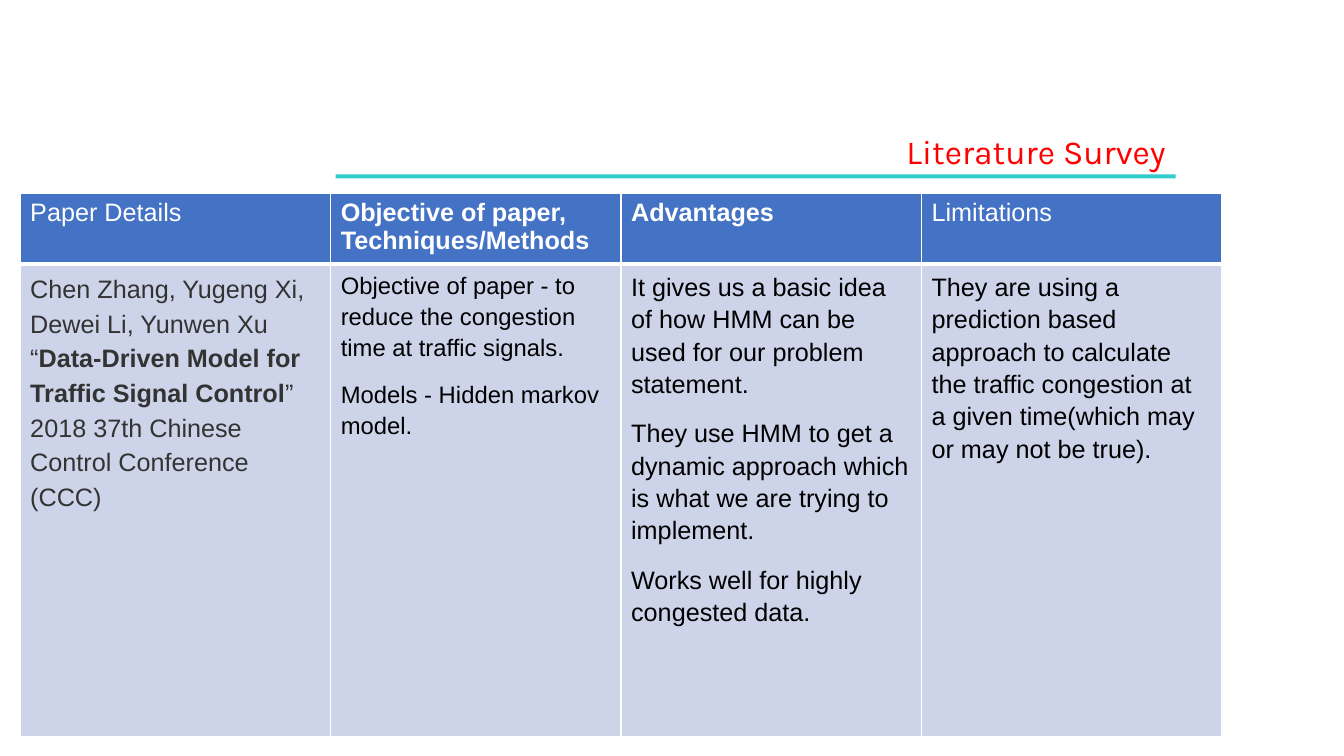
from lxml.etree import SubElement
from pptx import Presentation
from pptx.dml.color import RGBColor
from pptx.enum.shapes import MSO_SHAPE
from pptx.enum.text import MSO_AUTO_SIZE, PP_ALIGN
from pptx.oxml.ns import qn
from pptx.util import Inches, Pt

COLORS = {
    "title": "FF0000",
    "rule": "33CCCC",
    "header": "4472C4",
    "body": "CDD4EA",
    "white": "FFFFFF",
    "citation": "333333",
    "black": "000000",
}
COLUMN_WIDTHS = [3.08, 2.88, 2.98, 2.98]
ROW_HEIGHTS = [0.69, 4.69]
HEADINGS = [
    ("Paper Details", False),
    ("Objective of paper, Techniques/Methods", True),
    ("Advantages", True),
    ("Limitations", False),
]
CITATION = [
    [("Chen Zhang, Yugeng Xi, Dewei Li, Yunwen Xu", False)],
    [("“", False), ("Data-Driven Model for Traffic Signal Control", True), ("”", False)],
    [("2018 37th Chinese Control Conference (CCC)", False)],
]
OBJECTIVE = [
    "Objective of paper - to reduce the congestion time at traffic signals.",
    "Models - Hidden markov model.",
]
ADVANTAGES = [
    "It gives us a basic idea of how HMM can be used for our problem statement.",
    "They use HMM to get a dynamic approach which is what we are trying to implement.",
    "Works well for highly congested data.",
]
LIMITATIONS = [
    "They are using a prediction based approach to calculate the traffic congestion "
    "at a given time(which may or may not be true).",
]


class SurveySlide:
    def __init__(self, slide):
        self.slide = slide

    def color(self, name):
        return RGBColor.from_string(COLORS[name])

    def style(self, paragraph, size, color, font="Arial"):
        paragraph.font.name = font
        paragraph.font.size = Pt(size)
        paragraph.font.color.rgb = self.color(color)

    def bar(self, left, top, width, height, color):
        bar = self.slide.shapes.add_shape(
            MSO_SHAPE.RECTANGLE, Inches(left), Inches(top), Inches(width), Inches(height))
        bar.shadow.inherit = False
        bar.fill.solid()
        bar.fill.fore_color.rgb = self.color(color)
        bar.line.fill.background()

    def title(self, text, left, top, width, height):
        frame = self.slide.shapes.add_textbox(
            Inches(left), Inches(top), Inches(width), Inches(height)).text_frame
        frame.word_wrap = True
        frame.auto_size = MSO_AUTO_SIZE.SHAPE_TO_FIT_TEXT
        heading = frame.paragraphs[0]
        heading.text = text
        heading.alignment = PP_ALIGN.RIGHT
        self.style(heading, 24, "title", "Karla")

    def table(self, left, top, widths, heights):
        table = self.slide.shapes.add_table(
            len(heights), len(widths), Inches(left), Inches(top),
            Inches(sum(widths)), Inches(sum(heights))).table
        table.first_row = False
        table.horz_banding = False
        for column, width in zip(table.columns, widths):
            column.width = Inches(width)
        for row, height in zip(table.rows, heights):
            row.height = Inches(height)
        return table

    def borders(self, cell, **widths):
        properties = cell._tc.get_or_add_tcPr()
        for side in "LRTB":
            line = SubElement(properties, qn(f"a:ln{side}"), w=str(Pt(widths.get(side, 1))))
            fill = SubElement(line, qn("a:solidFill"))
            SubElement(fill, qn("a:srgbClr"), val=COLORS["white"])

    def cell(self, cell, paragraphs, fill, color, size=18, spacing=None, gap=0, **borders):
        self.borders(cell, **borders)
        cell.fill.solid()
        cell.fill.fore_color.rgb = self.color(fill)
        frame = cell.text_frame
        for index, runs in enumerate(paragraphs):
            paragraph = frame.add_paragraph() if index else frame.paragraphs[0]
            self.style(paragraph, size, color)
            paragraph.line_spacing = spacing
            if index and gap:
                paragraph.space_before = Pt(gap)
            for text, bold in runs:
                run = paragraph.add_run()
                run.text = text
                run.font.bold = bold


def main():
    presentation = Presentation()
    presentation.slide_width = Inches(13.33)
    presentation.slide_height = Inches(7.5)
    survey = SurveySlide(presentation.slides.add_slide(presentation.slide_layouts[6]))

    survey.bar(3.33, 1.73, 8.33, 0.04, "rule")
    survey.title("Literature Survey", 4.58, 1.25, 7.08, 0.5)

    papers = survey.table(0.2, 1.92, COLUMN_WIDTHS, ROW_HEIGHTS)
    for column, heading in enumerate(HEADINGS):
        survey.cell(papers.cell(0, column), [[heading]], "header", "white", B=3)
    survey.cell(papers.cell(1, 0), CITATION, "body", "citation", spacing=1.23, T=3)
    findings = [(OBJECTIVE, 17), (ADVANTAGES, 18), (LIMITATIONS, 18)]
    for column, (points, size) in enumerate(findings, 1):
        paragraphs = [[(point, False)] for point in points]
        survey.cell(papers.cell(1, column), paragraphs, "body", "black", size, 1.15, 12, T=3)

    presentation.save("out.pptx")


if __name__ == "__main__":
    main()
